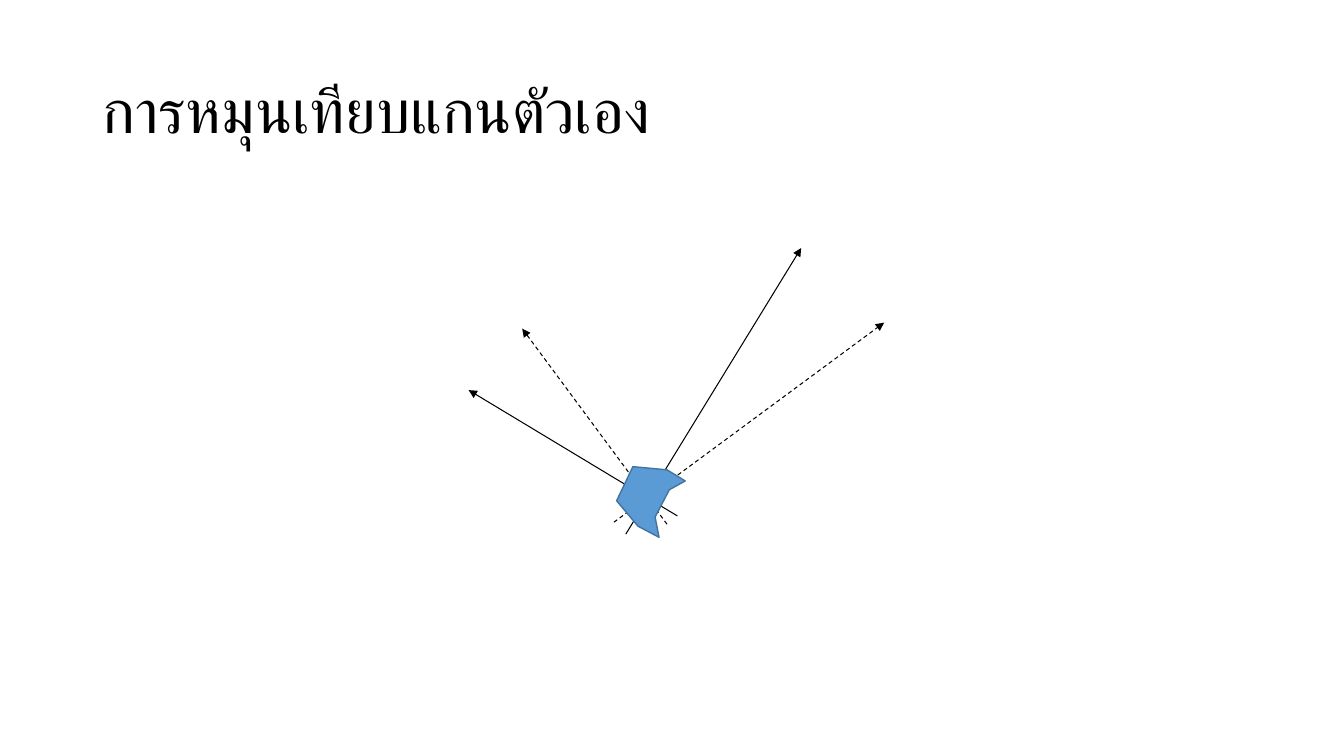
from typing import NamedTuple

import pptx
import pptx.dml.color
import pptx.enum.dml
import pptx.enum.shapes
import pptx.enum.text
import pptx.oxml
import pptx.oxml.ns
import pptx.shapes.autoshape
import pptx.shapes.connector
import pptx.slide
import pptx.util
from pptx.util import Cm

BLACK = pptx.dml.color.RGBColor(0x00, 0x00, 0x00)
BLUE = pptx.dml.color.RGBColor(0x5B, 0x9B, 0xD5)
DARK_BLUE = pptx.dml.color.RGBColor(0x43, 0x73, 0x9E)
FONT = "Calibri"


class Point(NamedTuple):
    """A place on the slide, in centimetres."""
    x: float
    y: float


class Axis(NamedTuple):
    tail: Point
    tip: Point
    dashed: bool = False


INITIAL_AXES = [
    Axis(Point(15.77, 13.46), Point(20.19, 6.25)),
    Axis(Point(17.07, 13.0), Point(11.81, 9.83)),
]
ROTATED_AXES = [
    Axis(Point(15.47, 13.16), Point(22.28, 8.13), dashed=True),
    Axis(Point(16.81, 13.21), Point(13.16, 8.28), dashed=True),
]
BODY_OUTLINE = [
    Point(16.08, 13.26), Point(16.61, 13.54), Point(16.51, 13.03), Point(16.87, 12.34),
    Point(17.27, 12.12), Point(16.81, 11.84), Point(15.95, 11.76), Point(15.54, 12.62),
]


def add_text(slide: pptx.slide.Slide, text: str, corner: Point, *, width: float,
             height: float, size: float, color: pptx.dml.color.RGBColor,
             line_spacing: float) -> pptx.shapes.autoshape.Shape:
    box = slide.shapes.add_textbox(Cm(corner.x), Cm(corner.y), Cm(width), Cm(height))
    frame = box.text_frame
    frame.word_wrap = True
    frame.vertical_anchor = pptx.enum.text.MSO_ANCHOR.MIDDLE
    paragraph = frame.paragraphs[0]
    paragraph.line_spacing = line_spacing
    run = paragraph.add_run()
    run.text = text
    run.font.name = FONT
    run.font.size = pptx.util.Pt(size)
    run.font.color.rgb = color
    return box


def add_axis(slide: pptx.slide.Slide, axis: Axis) -> pptx.shapes.connector.Connector:
    arrow = slide.shapes.add_connector(
        pptx.enum.shapes.MSO_CONNECTOR.STRAIGHT,
        Cm(axis.tail.x), Cm(axis.tail.y), Cm(axis.tip.x), Cm(axis.tip.y))
    arrow.line.color.rgb = BLACK
    arrow.line.width = pptx.util.Pt(0.75)
    if axis.dashed:
        arrow.line.dash_style = pptx.enum.dml.MSO_LINE.DASH
    namespace = pptx.oxml.ns.nsdecls("a")
    arrow.line._get_or_add_ln().append(
        pptx.oxml.parse_xml(f'<a:tailEnd {namespace} type="triangle"/>'))
    arrow._element.spPr.append(pptx.oxml.parse_xml(f"<a:effectLst {namespace}/>"))
    return arrow


def add_body(slide: pptx.slide.Slide, outline: list[Point]) -> pptx.shapes.autoshape.Shape:
    """Draw the rotating body as a closed polygon."""
    start, *corners = [(Cm(point.x), Cm(point.y)) for point in outline]
    builder = slide.shapes.build_freeform(*start)
    builder.add_line_segments(corners, close=True)
    body = builder.convert_to_shape()
    body.shadow.inherit = False
    body.fill.solid()
    body.fill.fore_color.rgb = BLUE
    body.line.color.rgb = DARK_BLUE
    body.line.width = pptx.util.Pt(1)
    return body


def main() -> None:
    presentation = pptx.Presentation()
    presentation.slide_width = Cm(33.87)
    presentation.slide_height = Cm(19.05)
    slide = presentation.slides.add_slide(presentation.slide_layouts[6])

    add_text(slide, "การหมุนเทียบแกนตัวเอง", Point(2.34, 1.02), width=29.21, height=3.68,
             size=44, color=BLACK, line_spacing=0.9)
    for axis in INITIAL_AXES + ROTATED_AXES:
        add_axis(slide, axis)
    add_body(slide, BODY_OUTLINE)

    presentation.save("out.pptx")


if __name__ == "__main__":
    main()
